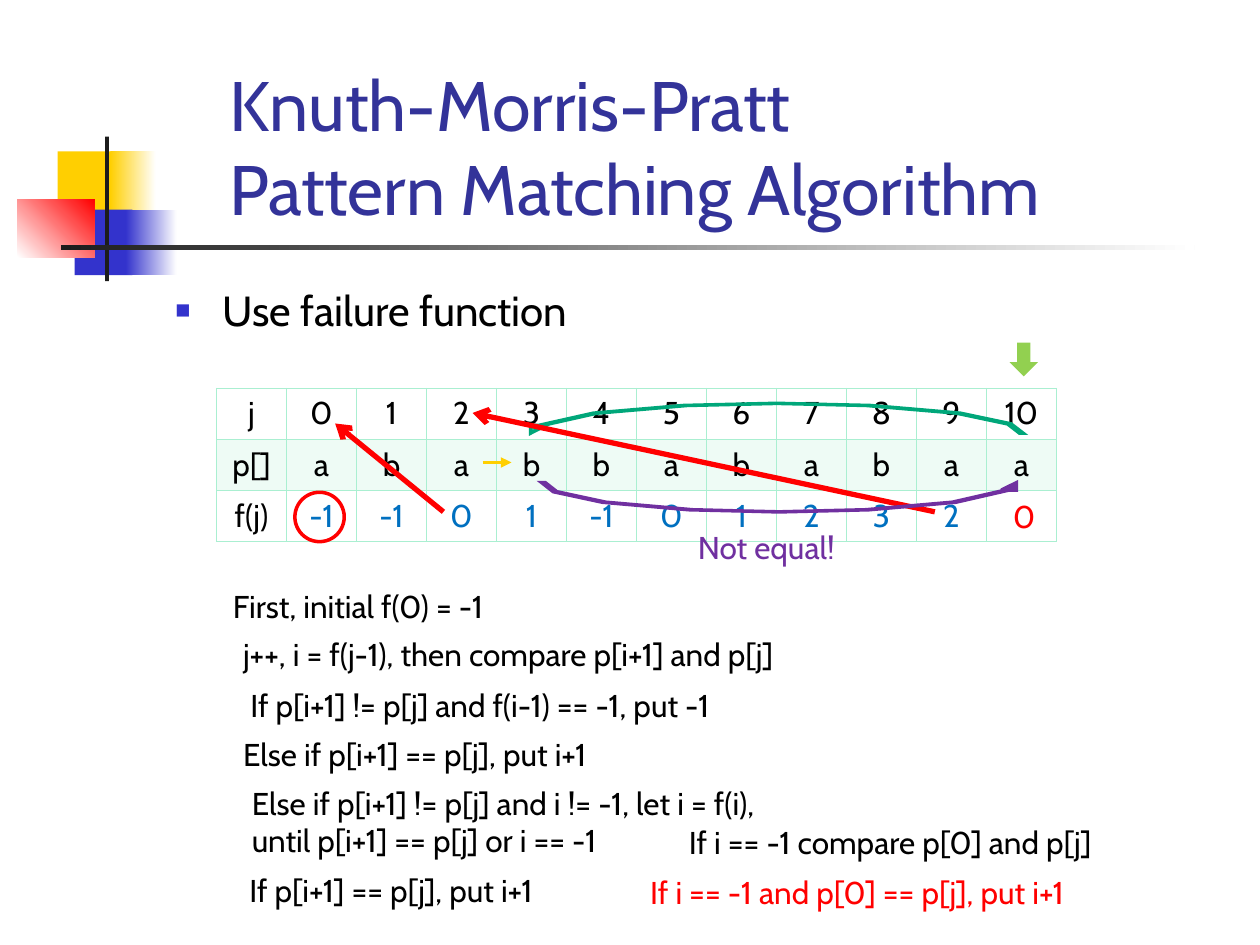
from dataclasses import dataclass
from math import cos, radians, sin

from lxml import etree
from pptx import Presentation
from pptx.dml.color import RGBColor
from pptx.enum.shapes import MSO_CONNECTOR, MSO_SHAPE
from pptx.enum.text import MSO_ANCHOR, MSO_AUTO_SIZE, PP_ALIGN
from pptx.oxml.ns import qn
from pptx.util import Pt

RECTANGLE, ELLIPSE, DOWN_ARROW = MSO_SHAPE.RECTANGLE, MSO_SHAPE.OVAL, MSO_SHAPE.DOWN_ARROW
STRAIGHT = MSO_CONNECTOR.STRAIGHT
BOTTOM, TOP = MSO_ANCHOR.BOTTOM, MSO_ANCHOR.TOP
LEFT, CENTER = PP_ALIGN.LEFT, PP_ALIGN.CENTER
NO_FIT, GROW = MSO_AUTO_SIZE.NONE, MSO_AUTO_SIZE.SHAPE_TO_FIT_TEXT


@dataclass(frozen=True)
class Theme:
    font: str = "Cabin"
    title_size: int = 40
    body_size: int = 24
    text_size: int = 18
    title: str = "333399"
    text: str = "000000"
    white: str = "FFFFFF"
    dark: str = "1C1C1C"
    yellow: str = "FFCF01"
    blue: str = "3333CC"
    red: str = "FF0000"
    value: str = "0070C0"
    mint: str = "AAEFD1"
    teal_fill: str = "00E4A8"
    teal_line: str = "00A77A"
    purple: str = "7030A0"
    green: str = "92D050"


THEME = Theme()


def rgb(color):
    return RGBColor.from_string(color)


class SlideBuilder:
    """Adds styled elements to one slide; every length is in points."""

    def __init__(self, slide, theme):
        self.slide = slide
        self.theme = theme

    def format_text(self, paragraph, size, color, alignment=LEFT):
        paragraph.alignment = alignment
        font = paragraph.font
        font.name, font.size = self.theme.font, Pt(size)
        font.color.rgb = rgb(color)

    def placeholder(self, index, text, box, size, color, anchor):
        shape = self.slide.placeholders[index]
        shape.left, shape.top, shape.width, shape.height = map(Pt, box)
        frame = shape.text_frame
        frame.text = text
        frame.auto_size = NO_FIT
        frame.vertical_anchor = anchor
        self.format_text(frame.paragraphs[0], size, color)
        return frame.paragraphs[0]

    def title(self, text, box):
        self.placeholder(0, text, box, self.theme.title_size, self.theme.title, BOTTOM)

    def bullet(self, text, box):
        paragraph = self.placeholder(1, text, box, self.theme.body_size, self.theme.text, TOP)
        paragraph.space_before = Pt(0)
        properties = paragraph._p.get_or_add_pPr()
        properties.set("marL", str(Pt(27)))
        properties.set("indent", str(-Pt(27)))
        bullet_color = etree.Element(qn("a:buClr"))
        etree.SubElement(bullet_color, qn("a:srgbClr"), val=self.theme.blue)
        bullet_size = etree.Element(qn("a:buSzPct"), val="60000")
        bullet_character = etree.Element(qn("a:buChar"), char="■")
        default_font = properties.find(qn("a:defRPr"))
        for element in (bullet_color, bullet_size, bullet_character):
            default_font.addprevious(element)

    def paint(self, shape, fill=None, line=None, width=2):
        shape.shadow.inherit = False
        if fill:
            shape.fill.solid()
            shape.fill.fore_color.rgb = rgb(fill)
        else:
            shape.fill.background()
        if line:
            shape.line.color.rgb = rgb(line)
            shape.line.width = Pt(width)
            etree.SubElement(shape.line._get_or_add_ln(), qn("a:miter"), lim="800000")
        else:
            shape.line.fill.background()

    def shape(self, kind, box, fill=None, line=None):
        shape = self.slide.shapes.add_shape(kind, *map(Pt, box))
        self.paint(shape, fill, line)
        return shape

    def gradient(self, box, start, end, angle=0):
        fill = self.shape(RECTANGLE, box).fill
        fill.gradient()
        fill.gradient_angle = angle
        for stop, color, position in zip(fill.gradient_stops, (start, end), (0, 1)):
            stop.color.rgb = rgb(color)
            stop.position = position

    def text(self, text, box, color=None):
        frame = self.slide.shapes.add_textbox(*map(Pt, box)).text_frame
        frame.text = text
        frame.word_wrap = False
        frame.auto_size = GROW
        for paragraph in frame.paragraphs:
            self.format_text(paragraph, self.theme.text_size, color or self.theme.text)

    def arrow(self, start, end, color, width, head):
        connector = self.slide.shapes.add_connector(STRAIGHT, *map(Pt, start + end))
        connector.line.color.rgb = rgb(color)
        connector.line.width = Pt(width)
        line = connector.line._get_or_add_ln()
        etree.SubElement(line, qn("a:tailEnd"), type=head)
        etree.SubElement(connector._element.spPr, qn("a:effectLst"))

    def arc_arrow(self, tail, radius, rise, direction, fill, line):
        """Half-ellipse band from tail; direction is 1 rightwards, -1 leftwards."""
        tail_x, tail_y = tail
        shift, head_height, head_width = 2, 4.3, 8.6
        center = tail_x + direction * radius
        near_angles, far_angles = (0, 18, 42, 68), (90, 112, 138, 165)

        def edge(offset, angles):
            return [(center + direction * (offset - radius * cos(radians(angle))),
                     tail_y + rise * sin(radians(angle))) for angle in angles]

        tip = center + direction * (radius + shift)
        barb_y = tail_y + rise / abs(rise) * head_height
        points = [*edge(0, near_angles), *edge(shift, far_angles),
                  (tip, barb_y), (tip, tail_y), (tip - direction * head_width, barb_y),
                  *edge(0, far_angles[::-1]), *edge(shift, near_angles[::-1])]
        points = [(Pt(x), Pt(y)) for x, y in points]
        builder = self.slide.shapes.build_freeform(*points[0])
        builder.add_line_segments(points[1:])
        self.paint(builder.convert_to_shape(), fill, line)

    def cell_border(self, cell, widths):
        """Widths run left, right, top, bottom."""
        properties = cell._tc.get_or_add_tcPr()
        for index, (side, width) in enumerate(zip("LRTB", widths)):
            line = etree.Element(qn(f"a:ln{side}"), w=str(Pt(width)))
            fill = etree.SubElement(line, qn("a:solidFill"))
            etree.SubElement(fill, qn("a:srgbClr"), val=self.theme.mint)
            properties.insert(index, line)

    def table(self, rows, box):
        frame = self.slide.shapes.add_table(len(rows), len(rows[0]), *map(Pt, box))
        table = frame.table
        thin, thick = 0.45, 0.96
        for row_index, values in enumerate(rows):
            table.rows[row_index].height = Pt(box[3] / len(rows))
            for column_index, value in enumerate(values):
                cell = table.cell(row_index, column_index)
                cell.text = value
                is_failure_value = row_index == 2 and column_index > 0
                if is_failure_value:
                    cell.vertical_anchor = BOTTOM
                self.format_text(cell.text_frame.paragraphs[0], self.theme.text_size,
                                 self.theme.value if is_failure_value else self.theme.text, CENTER)
                if row_index == 1:
                    cell.fill.solid()
                    cell.fill.fore_color.rgb = rgb(self.theme.mint)
                    color = cell._tc.tcPr.find(".//" + qn("a:srgbClr"))
                    etree.SubElement(color, qn("a:alpha"), val="20000")
                else:
                    cell.fill.background()
                self.cell_border(cell, (thin, thin, thick if row_index == 1 else thin,
                                        thick if row_index == 0 else thin))


def main():
    presentation = Presentation()
    presentation.slide_width, presentation.slide_height = Pt(720), Pt(540)
    slide = presentation.slides.add_slide(presentation.slide_layouts[1])
    builder, theme = SlideBuilder(slide, THEME), THEME

    builder.shape(RECTANGLE, (33, 86.5, 34.5, 37.5), theme.yellow)
    builder.gradient((63, 86.5, 26, 37.5), theme.yellow, theme.white)
    builder.shape(RECTANGLE, (42.7, 119.8, 33, 37.5), theme.blue)
    builder.gradient((72, 119.8, 29, 37.5), theme.blue, theme.white)
    builder.gradient((10, 113.8, 44, 33.2), theme.white, theme.red, 45)
    builder.shape(RECTANGLE, (60, 78, 2.3, 82.7), theme.dark)
    builder.gradient((34.7, 140.2, 648, 2.4), theme.dark, theme.white)

    builder.title("Knuth-Morris-Pratt\vPattern Matching Algorithm", (123.8, 39, 512.6, 96))
    builder.bullet("Use failure function", (93, 159, 612, 324))
    builder.table([["j", *map(str, range(11))],
                   ["p[]", *"ababbababaa"],
                   ["f(j)", *"-1 -1 0 1 -1 0 1 2 3 2".split(), ""]],
                  (123.7, 221.8, 480, 87.6))

    builder.shape(DOWN_ARROW, (579.4, 196.8, 11.2, 16.8), theme.green, theme.green)
    builder.arc_arrow((584.6, 247.5), 139.7, -17, -1, theme.teal_fill, theme.teal_line)
    for text, left, top, width in (
        ("If p[i+1] == p[j], put i+1", 135.4, 494, 205),
        ("First, initial f(0) = -1", 126, 332, 174),
        ("j++, i = f(j-1), then compare p[i+1] and p[j]", 131.8, 359.5, 361.5),
        ("If p[i+1] != p[j] and f(i-1) == -1, put -1", 136, 388.5, 316),
        ("Else if p[i+1] == p[j], put i+1", 131.8, 416.5, 242),
        ("If i == -1 compare p[0] and p[j]", 386.6, 466.6, 268.6),
    ):
        builder.text(text, (left, top, width, 29))
    builder.text("Else if p[i+1] != p[j] and i != -1, let i = f(i),\n"
                 "until p[i+1] == p[j] or i == -1", (136.8, 444.3, 341.3, 50.5))

    builder.arrow((534.2, 292.5), (270, 236), theme.red, 3, "arrow")
    builder.arrow((275.8, 264.3), (292.3, 264.3), theme.yellow, 2, "triangle")
    builder.arc_arrow((309.6, 275.8), 134.6, 16.7, 1, theme.purple, theme.purple)
    builder.text("Not equal!", (391.7, 298, 102, 29), theme.purple)
    builder.arrow((253.4, 292.5), (191.5, 242), theme.red, 3, "arrow")
    builder.shape(ELLIPSE, (168.5, 281.3, 28.2, 28.2), line=theme.red)
    builder.text("If i == -1 and p[0] == p[j], put i+1", (364.5, 495.2, 282, 29), theme.red)
    builder.text("0", (571.7, 280.3, 24.5, 29), theme.red)

    presentation.save("out.pptx")


if __name__ == "__main__":
    main()
